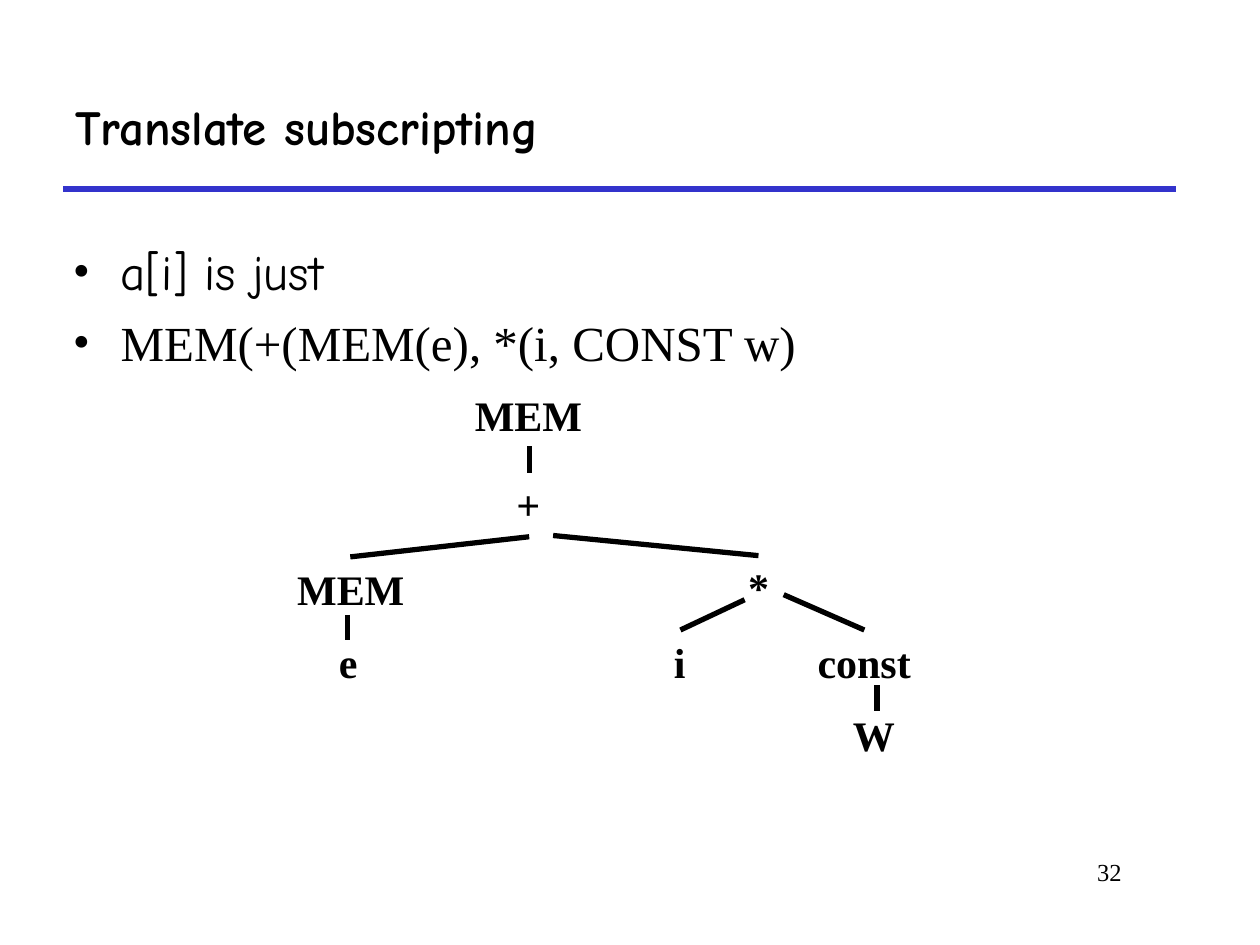
from pptx import Presentation
from pptx.dml.color import RGBColor as RGB
from pptx.enum.shapes import MSO_CONNECTOR as Link
from pptx.enum.text import MSO_ANCHOR as Anchor, MSO_AUTO_SIZE as Fit, PP_ALIGN as Align
from pptx.oxml.ns import qn
from pptx.util import Inches, Pt
from lxml.etree import SubElement as Sub

SERIF = "Times New Roman"
COMIC = "Comic Neue"
BLACK = "000000"
BLUE = "3333CC"


def paint(code):
    return RGB.from_string(code)


class Page:
    def __init__(self, slide):
        self.slide = slide
        self.ink = BLACK
        self.width = 3

    def frame(self, left, top, width, height, wrap=True):
        box = self.slide.shapes.add_textbox(*map(Inches, (left, top, width, height)))
        box.text_frame.word_wrap = wrap
        return box.text_frame

    def run(self, para, text, size, face, bold=False):
        run = para.add_run()
        run.text = text
        run.font.size = Pt(size)
        run.font.name = face
        run.font.bold = bold
        run.font.color.rgb = paint(self.ink)

    def title(self, text, *place):
        frame = self.frame(*place)
        frame.vertical_anchor = Anchor.MIDDLE
        self.run(frame.paragraphs[0], text, 28, COMIC, True)

    def bullets(self, items, *place):
        frame = self.frame(*place)
        for row, (text, face) in enumerate(items):
            para = frame.add_paragraph() if row else frame.paragraphs[0]
            props = para._p.get_or_add_pPr()
            props.set("marL", str(Inches(0.38)))
            props.set("indent", str(-Inches(0.38)))
            tint = Sub(props, qn("a:buClr"))
            Sub(tint, qn("a:srgbClr"), val=self.ink)
            Sub(props, qn("a:buFont"), typeface=SERIF)
            Sub(props, qn("a:buChar"), char="•")
            if row:
                para.space_before = Pt(7)
            self.run(para, text, 28, face)

    def node(self, text, left, top, width):
        frame = self.frame(left, top, width, 0.5, False)
        frame.auto_size = Fit.SHAPE_TO_FIT_TEXT
        self.run(frame.paragraphs[0], text, 24, SERIF, True)

    def number(self, text, *place):
        para = self.frame(*place).paragraphs[0]
        para.alignment = Align.RIGHT
        self.run(para, text, 14, SERIF)

    def line(self, *ends, color=BLACK):
        link = self.slide.shapes.add_connector(Link.STRAIGHT, *map(Inches, ends))
        link.line.color.rgb = paint(color)
        link.line.width = Pt(self.width)
        Sub(link._element.spPr, qn("a:effectLst"))


def main():
    deck = Presentation()
    deck.slide_width, deck.slide_height = Inches(10), Inches(7.5)
    page = Page(deck.slides.add_slide(deck.slide_layouts[6]))

    page.line(0.5, 1.5, 9.33, 1.5, color=BLUE)
    page.number("32", 7.58, 6.75, 1.42, 0.5)
    page.title("Translate subscripting", 0.5, 0.5, 8.83, 1)
    page.bullets(
        [("a[i] is just", COMIC), ("MEM(+(MEM(e), *(i, CONST w)", SERIF)],
        0.48, 1.87, 8.83, 1.32,
    )

    nodes = [
        ("MEM", 3.67, 3.04, 1.05),
        ("+", 4, 3.75, 0.39),
        ("MEM", 2.26, 4.42, 1.05),
        ("*", 5.84, 4.41, 0.36),
        ("e", 2.59, 5, 0.35),
        ("i", 5.25, 5, 0.29),
        ("const", 6.39, 5, 0.94),
        ("W", 6.67, 5.58, 0.53),
    ]
    for node in nodes:
        page.node(*node)

    edges = [
        (4.2, 3.54, 4.2, 3.75),
        (4.2, 4.26, 2.78, 4.42),
        (4.39, 4.25, 6.02, 4.41),
        (5.91, 4.76, 5.4, 5),
        (6.22, 4.72, 6.86, 5),
        (6.96, 5.44, 6.96, 5.64),
        (2.76, 4.88, 2.76, 5.08),
    ]
    for edge in edges:
        page.line(*edge)

    deck.save("out.pptx")


if __name__ == "__main__":
    main()
